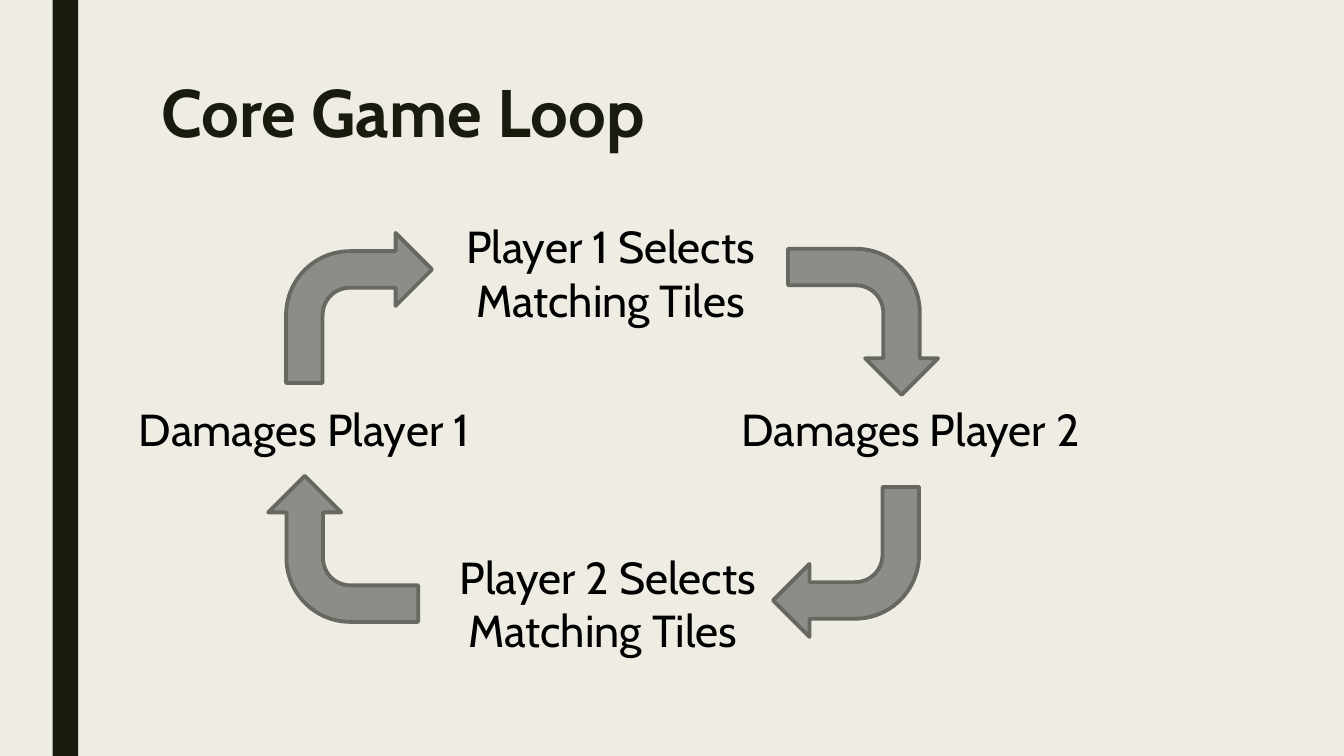
from dataclasses import dataclass

from pptx import Presentation
from pptx.dml.color import RGBColor as RGB
from pptx.enum.shapes import MSO_SHAPE as Shape
from pptx.enum.text import MSO_ANCHOR as Anchor, MSO_AUTO_SIZE as AutoSize, PP_ALIGN as Align
from pptx.util import Cm, Pt


@dataclass(frozen=True)
class Theme:
    font: str = "Cabin"
    title_size: float = 48
    body_size: float = 32
    line_width: float = 2.75
    background: RGB = RGB(0xEF, 0xED, 0xE3)
    dark: RGB = RGB(0x19, 0x1B, 0x0E)
    text: RGB = RGB(0, 0, 0)
    arrow: RGB = RGB(0x8C, 0x8D, 0x86)
    arrow_line: RGB = RGB(0x68, 0x68, 0x63)


THEME = Theme()
SLIDE_W, SLIDE_H = 33.87, 19.05
ARROW_W, ARROW_H = 3.68, 3.78

# Text, left, top, width, height, alignment; in cm within the loop's box
STEPS = [
    ("Player 1 Selects Matching Tiles", 7.21, 0, 9.86, 3, Align.CENTER),
    ("Damages Player 2", 15.19, 4.63, 9.86, 1.63, Align.LEFT),
    ("Player 2 Selects Matching Tiles ", 6.94, 8.34, 10.26, 3, Align.CENTER),
    ("Damages Player 1", 0, 4.63, 10.24, 1.63, Align.LEFT),
]
# Left and top of each arrow, clockwise from the top left; each turns 90° further
ARROWS = [(3.96, 0.49), (16.66, 0.84), (16.23, 6.89), (3.56, 6.56)]


def write(tf, text, size=THEME.body_size, color=THEME.text, bold=False,
          align=Align.LEFT, spacing=1.0):
    tf.word_wrap = True
    tf.auto_size = AutoSize.NONE
    tf.vertical_anchor = Anchor.TOP
    p = tf.paragraphs[0]
    p.alignment, p.line_spacing = align, spacing
    r = p.add_run()
    r.text = text
    r.font.name, r.font.size, r.font.bold = THEME.font, Pt(size), bold
    r.font.color.rgb = color


def add_filled(s, kind, x, y, w, h, fill):
    """Add a flat preset shape without an outline."""
    sp = s.shapes.add_shape(kind, Cm(x), Cm(y), Cm(w), Cm(h))
    sp.shadow.inherit = False
    sp.fill.solid()
    sp.fill.fore_color.rgb = fill
    sp.line.fill.background()
    return sp


def add_backdrop(s, x, w, h):
    s.background.fill.solid()
    s.background.fill.fore_color.rgb = THEME.background
    add_filled(s, Shape.RECTANGLE, x, 0, w, h, THEME.dark)


def add_title(s, text, x, y, w, h):
    title = s.shapes.title
    title.left, title.top, title.width, title.height = Cm(x), Cm(y), Cm(w), Cm(h)
    write(title.text_frame, text, size=THEME.title_size, color=THEME.dark,
          bold=True, spacing=0.89)


def add_loop(s, x, y):
    """Place the four steps and the arrows between them from a top-left corner."""
    for text, dx, dy, w, h, align in STEPS:
        box = s.shapes.add_textbox(Cm(x + dx), Cm(y + dy), Cm(w), Cm(h))
        write(box.text_frame, text, align=align)
    for turn, (dx, dy) in enumerate(ARROWS):
        arrow = add_filled(s, Shape.BENT_ARROW, x + dx, y + dy, ARROW_W, ARROW_H, THEME.arrow)
        arrow.rotation = 90 * turn
        arrow.line.color.rgb = THEME.arrow_line
        arrow.line.width = Pt(THEME.line_width)


def main():
    prs = Presentation()
    prs.slide_width, prs.slide_height = Cm(SLIDE_W), Cm(SLIDE_H)
    s = prs.slides.add_slide(prs.slide_layouts[5])
    add_backdrop(s, 1.33, 0.64, SLIDE_H)
    add_title(s, "Core Game Loop", 3.81, 1.9, 26.67, 4.11)
    add_loop(s, 3.25, 5.38)
    prs.save("out.pptx")


if __name__ == "__main__":
    main()
